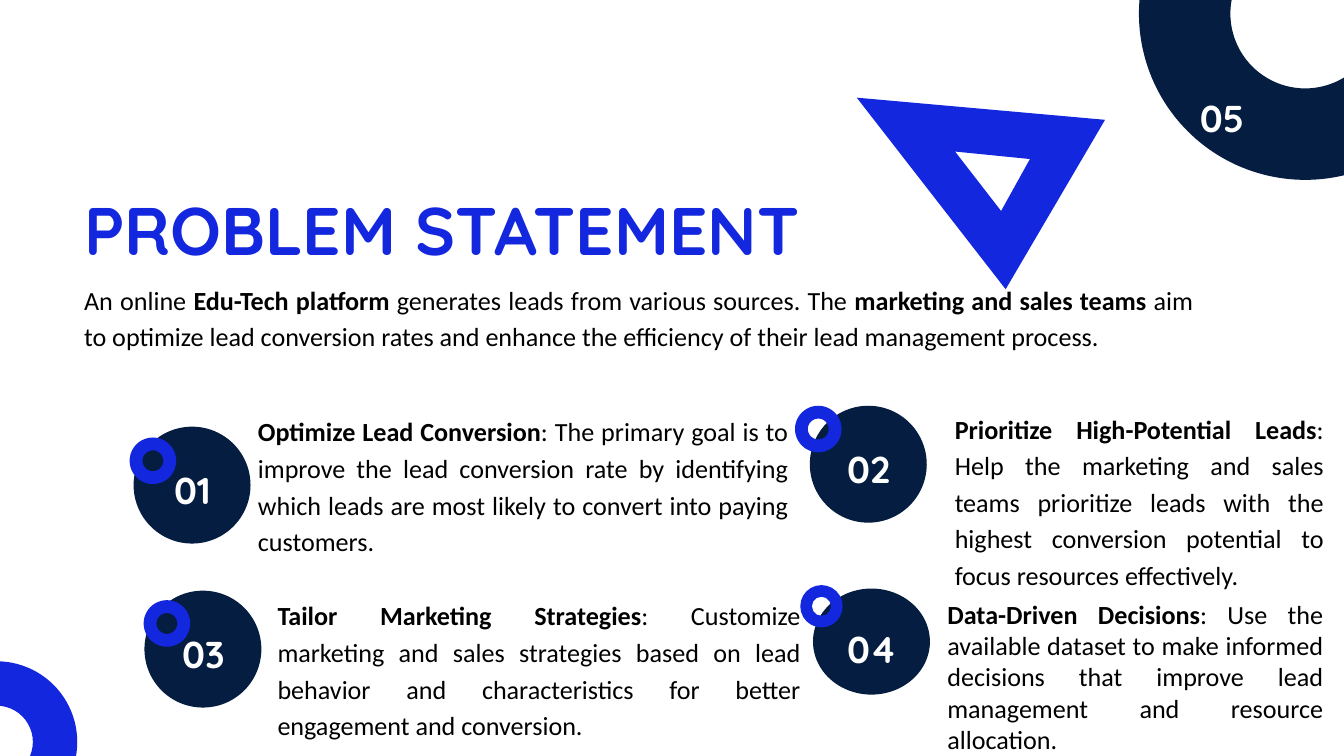
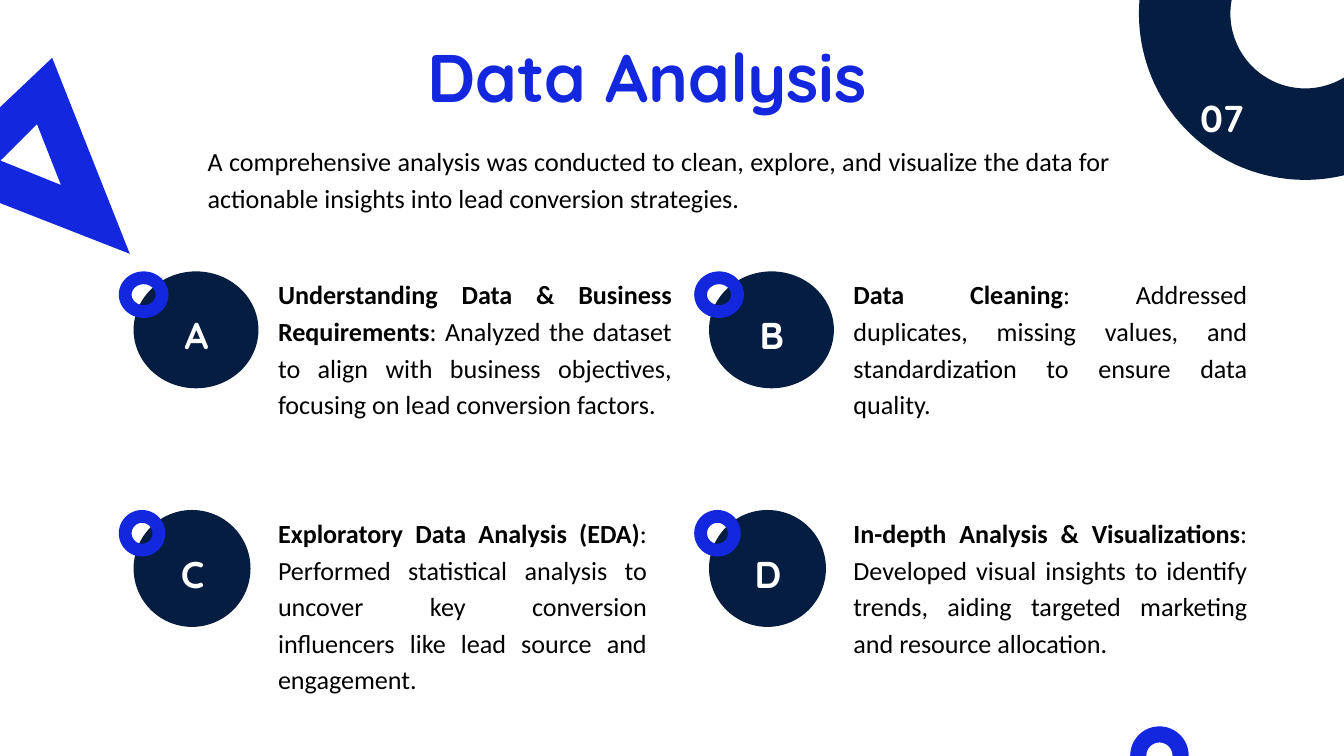
import itertools

import pptx
import pptx.dml.color
import pptx.enum.shapes
import pptx.enum.text
import pptx.util

Cm = pptx.util.Cm
Pt = pptx.util.Pt
SHAPE = pptx.enum.shapes.MSO_SHAPE
ALIGN = pptx.enum.text.PP_ALIGN

BLUE = pptx.dml.color.RGBColor(0x13, 0x27, 0xDF)
NAVY = pptx.dml.color.RGBColor(0x05, 0x1D, 0x40)
WHITE = pptx.dml.color.RGBColor(0xFF, 0xFF, 0xFF)
BLACK = pptx.dml.color.RGBColor(0x00, 0x00, 0x00)

HEAD_FONT = "Quicksand"
BODY_FONT = "Calibri"
TITLE_ONLY = 5
LINE = 1.37
DISC = 4.42
RING = 1.76
TRIANGLE_OUTER = [(1, 1), (0, 0.48), (0.74, 0)]
TRIANGLE_INNER = [(0.39, 0.46), (0.69, 0.62), (0.61, 0.31)]


class Board:
    def __init__(self):
        self.deck = pptx.Presentation()
        self.deck.slide_width = Cm(50.8)
        self.deck.slide_height = Cm(28.58)
        self.page = None

    def add_page(self, number):
        layout = self.deck.slide_layouts[TITLE_ONLY]
        self.page = self.deck.slides.add_slide(layout)
        self.ring(43.05, -5.77, 12.57, 12.57, NAVY)
        self.label(number, 44.25, 3.33, 3.89)

    def paint(self, shape, color):
        shape.shadow.inherit = False
        shape.fill.solid()
        shape.fill.fore_color.rgb = color
        shape.line.fill.background()

    def preset(self, kind, left, top, width, height, color):
        shape = self.page.shapes.add_shape(
            kind, Cm(left), Cm(top), Cm(width), Cm(height))
        self.paint(shape, color)
        return shape

    def ring(self, left, top, width, height, color=BLUE):
        shape = self.preset(SHAPE.DONUT, left, top, width, height, color)
        shape.adjustments[0] = 0.275

    def triangle(self, left, top, width, height, rotation):
        outer, inner = (
            [(Cm(left + x * width), Cm(top + y * height)) for x, y in corners]
            for corners in (TRIANGLE_OUTER, TRIANGLE_INNER))
        builder = self.page.shapes.build_freeform(*outer[0])
        builder.add_line_segments(outer[1:])
        builder.move_to(*inner[0])
        builder.add_line_segments(inner[1:])
        shape = builder.convert_to_shape()
        shape.rotation = rotation
        self.paint(shape, BLUE)

    def fill_text(self, box, runs, size, font, color, align, spaced=True):
        frame = box.text_frame
        frame.word_wrap = True
        frame.auto_size = pptx.enum.text.MSO_AUTO_SIZE.SHAPE_TO_FIT_TEXT
        frame.vertical_anchor = pptx.enum.text.MSO_ANCHOR.TOP
        frame.margin_left = frame.margin_right = 0
        frame.margin_top = frame.margin_bottom = 0
        para = frame.paragraphs[0]
        para.alignment = align
        if spaced:
            para.line_spacing = Pt(size * 1.4)
        for text, bold in runs:
            span = para.add_run()
            span.text = text
            span.font.size = Pt(size)
            span.font.name = font
            span.font.bold = bold
            span.font.color.rgb = color

    def title(self, text, left, top, width, align):
        box = self.page.shapes.title
        box.left, box.top = Cm(left), Cm(top)
        box.width, box.height = Cm(width), Cm(3.48)
        self.fill_text(box, [(text, True)], 72, HEAD_FONT, BLUE, align)

    def text_box(self, left, top, width, height):
        return self.page.shapes.add_textbox(
            Cm(left), Cm(top), Cm(width), Cm(height))

    def label(self, text, left, top, width):
        box = self.text_box(left, top, width, 1.93)
        self.fill_text(box, [(text, True)], 40, HEAD_FONT, WHITE, ALIGN.CENTER)

    def body(self, runs, left, top, width, lines, spaced=True):
        box = self.text_box(left, top, width, lines * LINE)
        self.fill_text(box, runs, 28, BODY_FONT, BLACK, ALIGN.JUSTIFY, spaced)

    def card(self, heading, detail, left, top, width, lines, spaced=True):
        runs = [(heading, True), (": " + detail, False)]
        self.body(runs, left, top, width, lines, spaced)

    def badge(self, text, left, top, width=DISC, height=DISC,
              ring_shift=(-0.56, 0), ring_size=(RING, RING)):
        self.preset(SHAPE.OVAL, left, top, width, height, NAVY)
        across, down = ring_shift
        self.ring(left + across, top + down, *ring_size)
        self.label(text, left + 0.28, top + height / 3.5, width - 0.53)


def problem_statement(board):
    board.add_page("05")
    board.triangle(33.86, 1.6, 8.2, 8.92, 155.6)
    board.ring(-3.18, 25, 6.1, 6.1)
    board.title("PROBLEM STATEMENT", 3.18, 6.6, 30.86, ALIGN.LEFT)
    board.body([
        ("An online ", False),
        ("Edu-Tech platform", True),
        (" generates leads from various sources. The ", False),
        ("marketing and sales teams", True),
        (" aim to optimize lead conversion rates and enhance the efficiency "
         "of their lead management process.", False),
    ], 3.18, 10.54, 41.91, 2)

    board.badge("01", 5.05, 16.13, ring_shift=(-0.15, 0.41))
    board.badge("02", 30.61, 15.34)
    board.badge("03", 5.46, 22.33, ring_shift=(-0.03, 0.36))
    board.badge("04", 30.73, 22.25, height=4.01,
                ring_shift=(-0.48, -0.13), ring_size=(1.6, 1.6))

    board.card("Optimize Lead Conversion",
               "The primary goal is to improve the lead conversion rate by "
               "identifying which leads are most likely to convert into "
               "paying customers.", 9.75, 15.52, 20.04, 4)
    board.card("Prioritize High-Potential Leads",
               "Help the marketing and sales teams prioritize leads with the "
               "highest conversion potential to focus resources effectively.",
               36.09, 15.42, 13.94, 5)
    board.card("Tailor Marketing Strategies",
               "Customize marketing and sales strategies based on lead "
               "behavior and characteristics for better engagement and "
               "conversion.", 10.49, 22.48, 19.76, 4)
    board.card("Data-Driven Decisions",
               "Use the available dataset to make informed decisions that "
               "improve lead management and resource allocation.",
               35.81, 22.61, 14.2, 4.37, spaced=False)


def data_analysis(board):
    board.add_page("07")
    board.triangle(-2.72, 2.39, 7.11, 7.75, 351.8)
    board.ring(42.72, 27.46, 2.21, 2.21)
    board.title("Data Analysis", 7.85, 0.81, 33.22, ALIGN.CENTER)
    board.body([
        ("A comprehensive analysis was conducted to clean, explore, and "
         "visualize the data for actionable insights into lead conversion "
         "strategies.", False),
    ], 7.85, 5.31, 34.09, 2)

    rows = [(10.26, 4.72, 1.88), (19.28, DISC, RING)]
    columns = [5.05, 26.8]
    steps = [
        ("A", "Understanding Data & Business Requirements",
         "Analyzed the dataset to align with business objectives, focusing "
         "on lead conversion factors.", 14.88, 4),
        ("B", "Data Cleaning",
         "Addressed duplicates, missing values, and standardization to "
         "ensure data quality.", 14.88, 4),
        ("C", "Exploratory Data Analysis (EDA)",
         "Performed statistical analysis to uncover key conversion "
         "influencers like lead source and engagement.", 13.94, 5),
        ("D", "In-depth Analysis & Visualizations",
         "Developed visual insights to identify trends, aiding targeted "
         "marketing and resource allocation.", 14.88, 4),
    ]
    for (row, left), step in zip(itertools.product(rows, columns), steps):
        top, disc_width, ring_width = row
        letter, heading, detail, width, lines = step
        board.badge(letter, left, top, disc_width,
                    ring_size=(ring_width, RING))
        board.card(heading, detail, left + 5.46, top + 0.08, width, lines)


def main():
    board = Board()
    problem_statement(board)
    data_analysis(board)
    board.deck.save("out.pptx")


if __name__ == "__main__":
    main()
